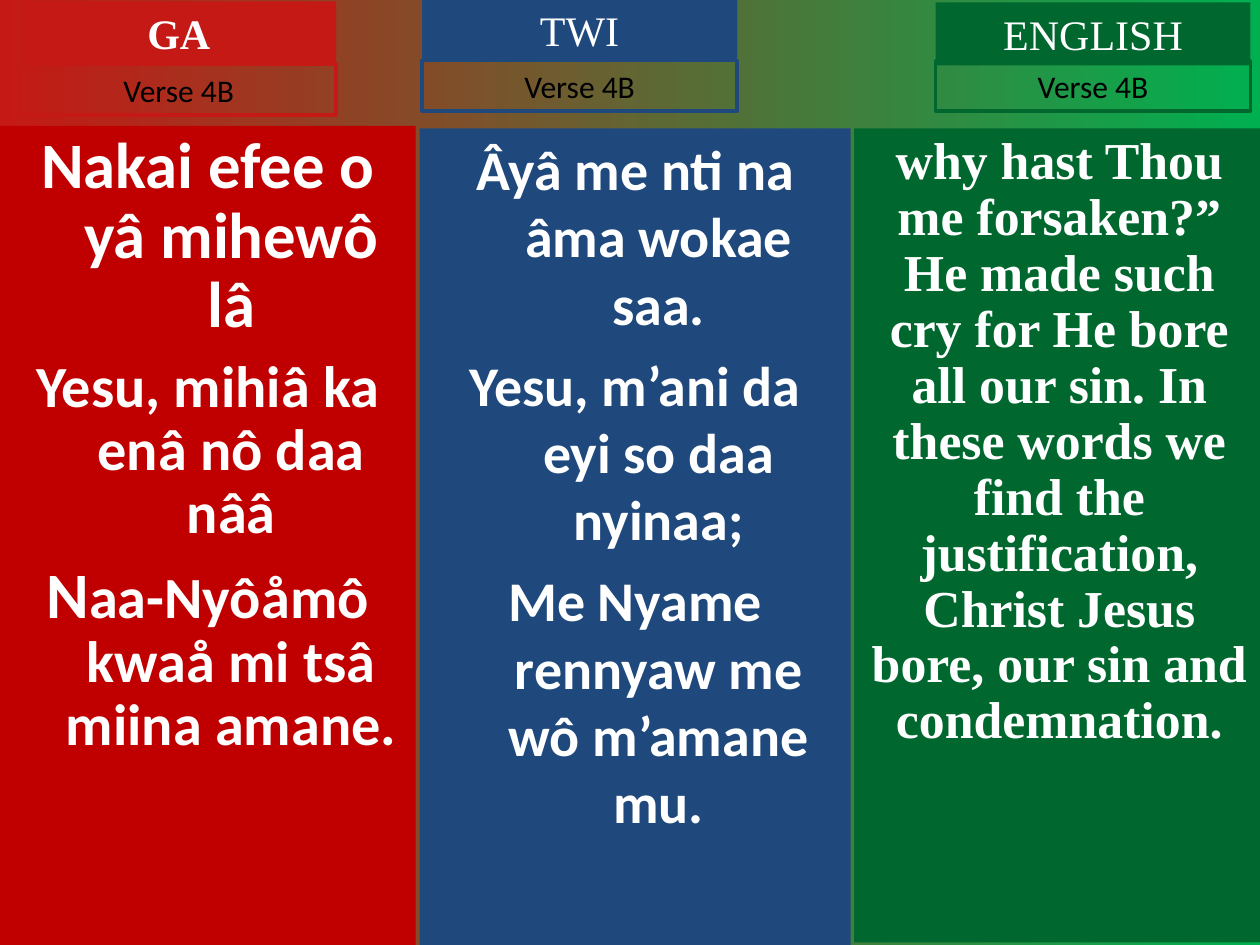
"""Builds a three-language hymn slide: Ga, Twi and English, verse 4B."""
from pptx import Presentation
from pptx import util as u
from pptx.dml.color import RGBColor
from pptx.enum import shapes, text

RED = RGBColor(0xC5, 0x19, 0x15)
DARK_RED = RGBColor(0xC0, 0x00, 0x00)
BLUE = RGBColor(0x1F, 0x49, 0x7D)
GREEN = RGBColor(0x00, 0x68, 0x2F)
BRIGHT_GREEN = RGBColor(0x00, 0xB0, 0x50)
WHITE = RGBColor(0xFF, 0xFF, 0xFF)
BLACK = RGBColor(0x00, 0x00, 0x00)
SANS, SERIF = "Calibri", "Times New Roman"


class HymnSlide:
    def __init__(self, slide):
        self.slide = slide

    def background(self, left_color, right_color):
        fill = self.slide.background.fill
        fill.gradient()
        fill.gradient_angle = 0
        for stop, color in zip(fill.gradient_stops, (left_color, right_color)):
            stop.color.rgb = color

    def box(self, left, top, width, height, fill=None, border=None):
        area = self.slide.shapes.add_shape(
            shapes.MSO_SHAPE.RECTANGLE, u.Cm(left), u.Cm(top), u.Cm(width), u.Cm(height))
        area.shadow.inherit = False
        if fill is None:
            area.fill.background()
        else:
            area.fill.solid()
            area.fill.fore_color.rgb = fill
        if border is None:
            area.line.fill.background()
        else:
            area.line.color.rgb = border
            area.line.width = u.Pt(2.25)
        frame = area.text_frame
        frame.word_wrap = True
        frame.vertical_anchor = text.MSO_ANCHOR.TOP
        return frame

    def style(self, line, font, color, bold, size=None):
        line.alignment = text.PP_ALIGN.CENTER
        line.font.name = font
        line.font.color.rgb = color
        line.font.bold = bold
        if size:
            line.font.size = u.Pt(size)

    def label(self, frame, wording, font, size, color, bold=False):
        frame.auto_size = text.MSO_AUTO_SIZE.SHAPE_TO_FIT_TEXT
        line = frame.paragraphs[0]
        line.text = wording
        self.style(line, font, color, bold, size)

    def title(self, left, top, language, color, bold):
        self.label(self.box(left, top, 6.35, 1.27, fill=color), language, SERIF, 24, WHITE, bold)

    def verse(self, left, top, number, color):
        self.label(self.box(left, top, 6.35, 1.02, border=color), number, SANS, 18, BLACK)

    def lyrics(self, place, color, lines, font, spacing, gap, hanging):
        frame = self.box(*place, fill=color)
        for index, pieces in enumerate(lines):
            line = frame.add_paragraph() if index else frame.paragraphs[0]
            if hanging:
                props = line._p.get_or_add_pPr()
                props.set("marL", str(u.Cm(0.95)))
                props.set("indent", str(u.Cm(-0.95)))
            line.line_spacing = spacing
            if index:
                line.space_before = u.Pt(gap)
            self.style(line, font, WHITE, True)
            for wording, size in pieces:
                run = line.add_run()
                run.text = wording
                run.font.size = u.Pt(size)


GA = [
    [("Nakai efee o yâ mihewô lâ", 37)],
    [("Yesu, mihiâ ka enâ nô daa nââ", 33.3)],
    [("N", 37), ("aa-Nyôåmô kwaå mi tsâ miina amane.", 33.3)],
]
TWI = [[(wording, 32)] for wording in (
    "Âyâ me nti na âma wokae saa.",
    "Yesu, m’ani da eyi so daa nyinaa;",
    "Me Nyame rennyaw me wô m’amane mu.",
)]
ENGLISH = [[(
    "why hast Thou me forsaken?” He made such cry for He bore all our sin. "
    "In these words we find the justification, Christ Jesus bore, our sin and "
    "condemnation.", 29.6)]]


def main():
    deck = Presentation()
    deck.slide_width, deck.slide_height = u.Cm(25.4), u.Cm(19.05)
    hymn = HymnSlide(deck.slides.add_slide(deck.slide_layouts[6]))
    hymn.background(RED, BRIGHT_GREEN)

    hymn.lyrics((0, 2.54, 8.38, 16.51), DARK_RED, GA, SANS, 0.9, 9, True)
    hymn.lyrics((8.46, 2.59, 8.69, 16.46), BLUE, TWI, SANS, 1.0, 8, True)
    hymn.lyrics((17.22, 2.59, 8.28, 16.41), GREEN, ENGLISH, SERIF, 0.9, 8, False)

    for language, color, left, title_top, verse_top, bold in (
        ("GA", RED, 0.43, 0.03, 1.3, True),
        ("TWI", BLUE, 8.51, -0.03, 1.22, False),
        ("ENGLISH", GREEN, 18.86, 0.05, 1.22, False),
    ):
        hymn.title(left, title_top, language, color, bold)
        hymn.verse(left, verse_top, "Verse 4B", color)

    deck.save("out.pptx")


if __name__ == "__main__":
    main()
